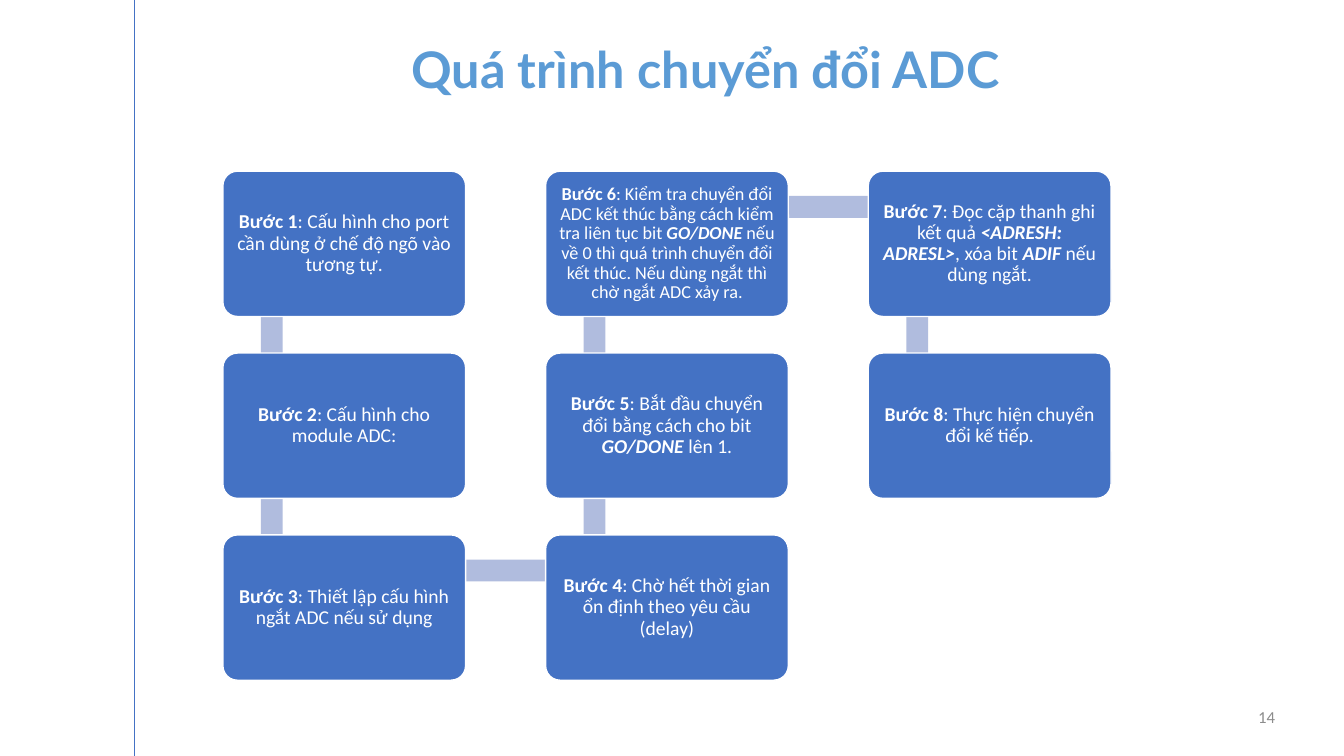
from lxml import etree
from pptx import Presentation
from pptx.dml.color import RGBColor
from pptx.enum import shapes, text
from pptx.oxml import ns
from pptx.util import Pt

BLUE = RGBColor(0x44, 0x72, 0xC4)
TITLE_BLUE = RGBColor(0x5B, 0x9B, 0xD5)
LAVENDER = RGBColor(0xB0, 0xBC, 0xDE)
GRAY = RGBColor(0x8C, 0x8C, 0x8C)
WHITE = RGBColor(0xFF, 0xFF, 0xFF)

TITLE = "Quá trình chuyển đổi ADC"
PAGE_NUMBER = "14"
# Each step alternates plain text with bold italic terms.
STEPS = [
    [": Cấu hình cho port cần dùng ở chế độ ngõ vào tương tự."],
    [": Cấu hình cho module ADC:"],
    [": Thiết lập cấu hình ngắt ADC nếu sử dụng"],
    [": Chờ hết thời gian ổn định theo yêu cầu (delay)"],
    [": Bắt đầu chuyển đổi bằng cách cho bit ", "GO/DONE", " lên 1."],
    [": Kiểm tra chuyển đổi ADC kết thúc bằng cách kiểm tra liên tục bit ", "GO/DONE",
     " nếu về 0 thì quá trình chuyển đổi kết thúc. Nếu dùng ngắt thì chờ ngắt ADC xảy ra."],
    [": Đọc cặp thanh ghi kết quả ", "<ADRESH: ADRESL>", ", xóa bit ", "ADIF", " nếu dùng ngắt."],
    [": Thực hiện chuyển đổi kế tiếp."],
]
SMALL_STEP = 6

SLIDE_WIDTH, SLIDE_HEIGHT = 960, 540
RULE_X = 96
ROWS = 3
GRID_LEFT, GRID_TOP = 159.2, 122.3
PITCH_X, PITCH_Y = 230.5, 129.9
BOX_WIDTH, BOX_HEIGHT = 173.4, 103.8
BAR_THICKNESS = 15.6
BAR_X, BAR_Y = 35, 25.5


def write(shape, runs, size, color, font="Calibri", align=text.PP_ALIGN.CENTER,
          anchor=text.MSO_ANCHOR.MIDDLE, spacing=None, inset=None):
    frame = shape.text_frame
    frame.word_wrap = True
    frame.vertical_anchor = anchor
    if inset is not None:
        frame.margin_left = frame.margin_right = Pt(inset)
        frame.margin_top = frame.margin_bottom = Pt(inset)
    paragraph = frame.paragraphs[0]
    paragraph.alignment = align
    paragraph.line_spacing = spacing
    for content, bold, italic in runs:
        run = paragraph.add_run()
        run.text = content
        run.font.name = font
        run.font.size = Pt(size)
        run.font.color.rgb = color
        run.font.bold = bold
        run.font.italic = italic


def add_block(slide, kind, left, top, width, height, fill):
    shape = slide.shapes.add_shape(kind, Pt(left), Pt(top), Pt(width), Pt(height))
    shape.shadow.inherit = False
    shape.fill.solid()
    shape.fill.fore_color.rgb = fill
    shape.line.fill.background()
    return shape


def step_position(index):
    column, row = divmod(index, ROWS)
    if column % 2:
        row = ROWS - 1 - row
    return GRID_LEFT + column * PITCH_X, GRID_TOP + row * PITCH_Y


def add_bar(slide, start, end):
    left, top = min(start[0], end[0]), min(start[1], end[1])
    width = abs(end[0] - start[0]) or BAR_THICKNESS
    height = abs(end[1] - start[1]) or BAR_THICKNESS
    if start[0] == end[0]:
        left, top = left + BAR_X - BAR_THICKNESS / 2, top + BAR_Y
    else:
        left, top = left + BAR_X, top + BAR_Y - BAR_THICKNESS / 2
    add_block(slide, shapes.MSO_SHAPE.RECTANGLE, left, top, width, height, LAVENDER)


def add_step(slide, number, parts):
    left, top = step_position(number - 1)
    box = add_block(slide, shapes.MSO_SHAPE.ROUNDED_RECTANGLE,
                    left, top, BOX_WIDTH, BOX_HEIGHT, BLUE)
    box.adjustments[0] = 0.1
    box.line.color.rgb = WHITE
    box.line.width = Pt(1)
    runs = [(f"Bước {number}", True, False)]
    runs += [(part, i % 2 == 1, i % 2 == 1) for i, part in enumerate(parts)]
    small = number == SMALL_STEP
    write(box, runs, 13 if small else 14, WHITE, spacing=0.9, inset=6.6 if small else 7.2)


def main():
    presentation = Presentation()
    presentation.slide_width = Pt(SLIDE_WIDTH)
    presentation.slide_height = Pt(SLIDE_HEIGHT)
    slide = presentation.slides.add_slide(presentation.slide_layouts[6])

    rule = slide.shapes.add_connector(shapes.MSO_CONNECTOR.STRAIGHT,
                                      Pt(RULE_X), Pt(0), Pt(RULE_X), Pt(SLIDE_HEIGHT))
    rule.line.color.rgb = BLUE
    rule.line.width = Pt(0.5)
    etree.SubElement(rule._element.spPr, ns.qn("a:effectLst"))

    title = slide.shapes.add_textbox(Pt(62.6), Pt(32.4), Pt(882.7), Pt(42.5))
    write(title, [(TITLE, True, False)], 36, TITLE_BLUE, font="Lato",
          anchor=text.MSO_ANCHOR.BOTTOM, spacing=0.9)

    page = slide.shapes.add_textbox(Pt(886.3), Pt(497.5), Pt(31.7), Pt(28.8))
    write(page, [(PAGE_NUMBER, False, False)], 12, GRAY, align=text.PP_ALIGN.RIGHT)

    for index in range(len(STEPS) - 1):
        add_bar(slide, step_position(index), step_position(index + 1))
    for number, parts in enumerate(STEPS, 1):
        add_step(slide, number, parts)

    presentation.save("out.pptx")


if __name__ == "__main__":
    main()
